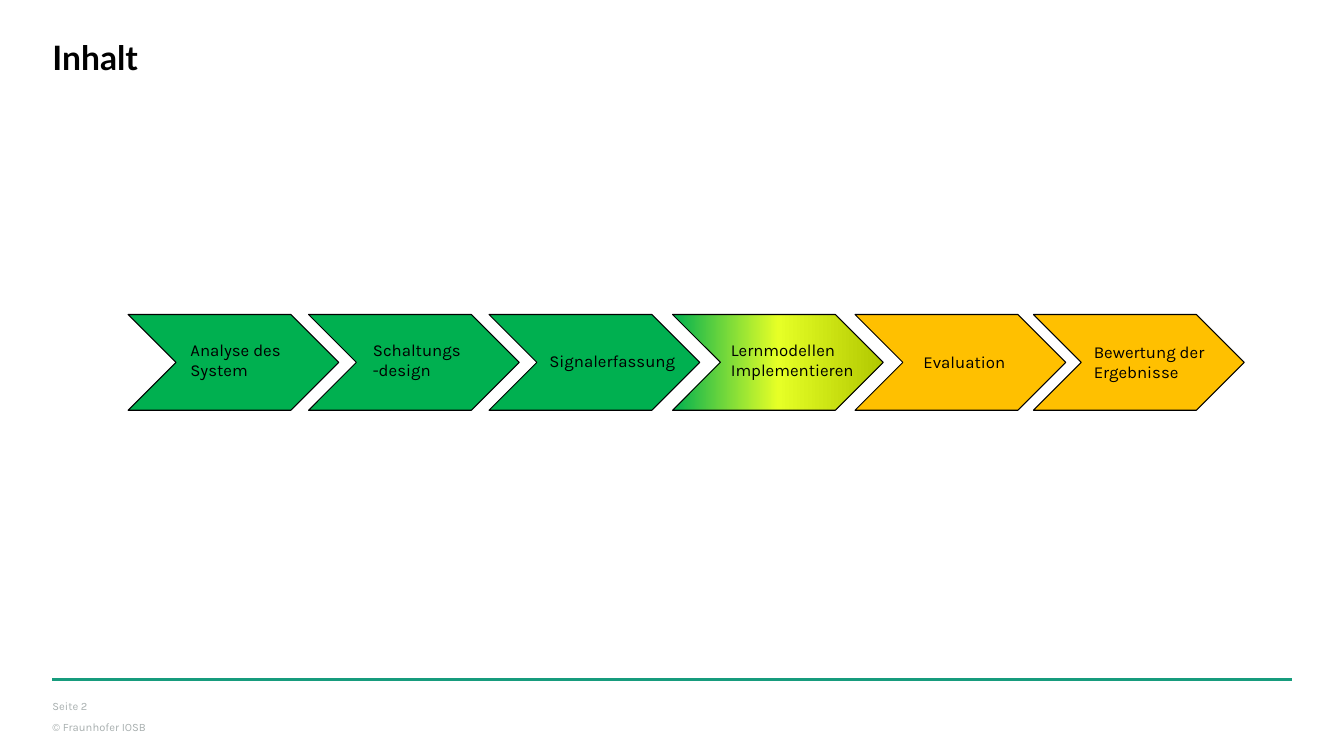
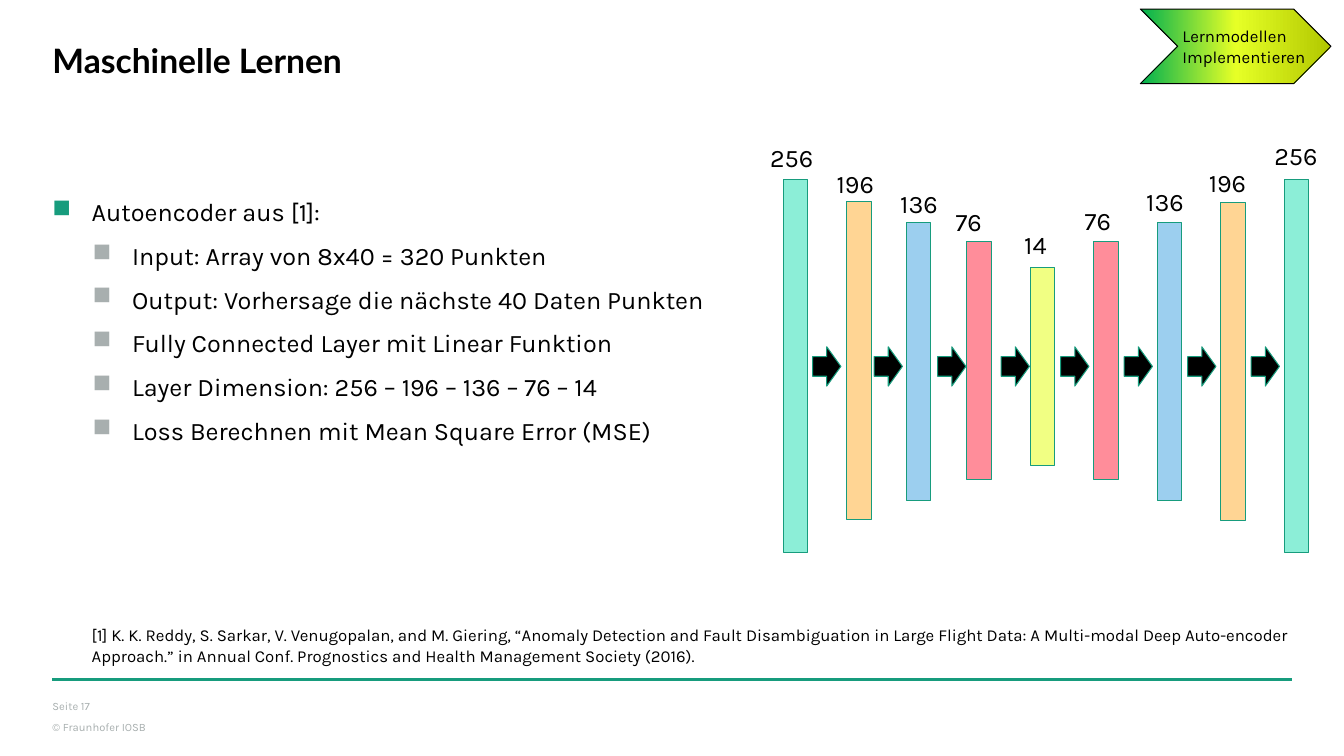
from copy import deepcopy

from lxml import etree
from pptx import Presentation
from pptx.dml.color import RGBColor
from pptx.enum.shapes import MSO_CONNECTOR, MSO_SHAPE
from pptx.oxml.ns import qn
from pptx.util import Inches, Pt

COLORS = {
    "text": "000000", "accent": "179C7D", "muted": "A8AFAF",
    "done": "00B050", "open": "FFC000",
    "bright": "E6FF26", "olive": "B1C800",
    "mint": "8CEED7", "peach": "FFD594", "sky": "9CCFEF",
    "rose": "FF8D9A", "lemon": "F1FF83",
}
IN_PROGRESS = [(0, "done"), (0.5, "bright"), (1, "olive")]


def add_text(slide, box, lines, size, color="text", font="Karla", bold=False, inset=(0, 0)):
    frame = slide.shapes.add_textbox(*map(Inches, box)).text_frame
    frame.word_wrap = True
    frame.margin_left = frame.margin_right = Inches(inset[0])
    frame.margin_top = frame.margin_bottom = Inches(inset[1])
    frame.text = "\n".join(lines)
    for paragraph in frame.paragraphs:
        paragraph.font.size = Pt(size)
        paragraph.font.name = font
        paragraph.font.bold = bold
        paragraph.font.color.rgb = RGBColor.from_string(COLORS[color])
    return frame.paragraphs


def add_block(slide, preset, box, fill, line="text"):
    """Draw a preset shape; fill is a colour name or a list of gradient stops."""
    block = slide.shapes.add_shape(preset, *map(Inches, box))
    block.shadow.inherit = False
    block.line.color.rgb = RGBColor.from_string(COLORS[line])
    block.line.width = Pt(0.75)
    if isinstance(fill, str):
        block.fill.solid()
        block.fill.fore_color.rgb = RGBColor.from_string(COLORS[fill])
        return
    block.fill.gradient()
    block.fill.gradient_angle = 0
    stop_list = block.fill._xPr.find(".//" + qn("a:gsLst"))
    while len(stop_list) < len(fill):
        stop_list.append(deepcopy(stop_list[-1]))
    for stop, (position, name) in zip(block.fill.gradient_stops, fill):
        stop.position = position
        stop.color.rgb = RGBColor.from_string(COLORS[name])


prs = Presentation()
prs.slide_width, prs.slide_height = Inches(13.33), Inches(7.5)

# Shared frame: title, rule and footer
slides = []
for title, title_top, page in [("Inhalt", 0.37, 2), ("Maschinelle Lernen", 0.4, 17)]:
    slide = prs.slides.add_slide(prs.slide_layouts[6])
    add_text(slide, (0.52, title_top, 12.28, 0.4), [title], 24, font="Lato", bold=True)
    rule = slide.shapes.add_connector(
        MSO_CONNECTOR.STRAIGHT, Inches(0.52), Inches(6.74), Inches(12.81), Inches(6.74))
    rule.line.color.rgb = RGBColor.from_string(COLORS["accent"])
    rule.line.width = Pt(2.5)
    etree.SubElement(rule._element.spPr, qn("a:effectLst"))
    footer = add_text(slide, (0.52, 6.94, 1.97, 0.34),
                      [f"Seite {page}", "© Fraunhofer IOSB"], 8, "muted")
    footer[1].space_before = Pt(5)
    slides.append(slide)
contents, learning = slides

# Contents: process chain (chevron left, fill, label, label box)
STEPS = [
    (1.27, "done", "Analyse des System", (1.79, 3.32, 1.33, 0.5)),
    (3.06, "done", "Schaltungs-design", (3.6, 3.32, 1.12, 0.5)),
    (4.85, "done", "Signalerfassung", (5.35, 3.43, 1.61, 0.3)),
    (6.67, IN_PROGRESS, "Lernmodellen Implementieren", (7.15, 3.32, 1.55, 0.5)),
    (8.48, "open", "Evaluation", (9.06, 3.44, 1.28, 0.3)),
    (10.25, "open", "Bewertung der Ergebnisse", (10.75, 3.34, 1.55, 0.5)),
]
for left, fill, label, label_box in STEPS:
    add_block(contents, MSO_SHAPE.CHEVRON, (left, 3.12, 2.09, 0.95), fill)
    add_text(contents, label_box, [label], 12, inset=(0.1, 0.05))

# Learning: current step marker
add_block(learning, MSO_SHAPE.CHEVRON, (11.31, 0.09, 1.89, 0.74), IN_PROGRESS)
add_text(learning, (11.63, 0.21, 1.5, 0.5), [STEPS[3][2]], 12, inset=(0.1, 0.05))

# Learning: bullet list, first line on level 0
points = add_text(learning, (0.52, 1.94, 6.9, 2.6), [
    "Autoencoder aus [1]:",
    "Input: Array von 8x40 = 320 Punkten",
    "Output: Vorhersage die nächste 40 Daten Punkten",
    "Fully Connected Layer mit Linear Funktion",
    "Layer Dimension: 256 – 196 – 136 – 76 – 14",
    "Loss Berechnen mit Mean Square Error (MSE)",
], 18)
for number, point in enumerate(points):
    level = min(number, 1)
    point.level = level
    point.space_after = Pt(9)
    point.line_spacing = 1.03
    props = point._p.get_or_add_pPr()
    props.set("marL", str(Inches(0.39 + 0.4 * level)))
    props.set("indent", str(-Inches(0.39)))
    bullet_color = etree.Element(qn("a:buClr"))
    etree.SubElement(bullet_color, qn("a:srgbClr"),
                     val=COLORS["muted" if level else "accent"])
    bullet = etree.Element(qn("a:buChar"), char="■")
    text_defaults = props.find(qn("a:defRPr"))
    text_defaults.addprevious(bullet_color)
    text_defaults.addprevious(bullet)

# Learning: reference
reference = add_text(learning, (0.91, 6.19, 11.89, 0.42), [
    "[1] K. K. Reddy, S. Sarkar, V. Venugopalan, and M. Giering, “Anomaly Detection and "
    "Fault Disambiguation in Large Flight Data: A Multi-modal Deep Auto-encoder "
    "Approach.” in Annual Conf. Prognostics and Health Management Society (2016)."], 12)
reference[0].line_spacing = 1.05

# Learning: autoencoder layers (size, left, top, label left, label top)
LAYER_STYLES = {256: (3.7, "mint"), 196: (3.15, "peach"), 136: (2.76, "sky"),
                76: (2.36, "rose"), 14: (1.97, "lemon")}
LAYERS = [
    (256, 7.77, 1.78, 7.54, 1.36), (196, 8.4, 2, 8.2, 1.62),
    (136, 8.99, 2.21, 8.83, 1.82), (76, 9.59, 2.4, 9.38, 2),
    (14, 10.22, 2.65, 10.06, 2.23), (76, 10.85, 2.4, 10.66, 1.99),
    (136, 11.48, 2.21, 11.27, 1.8), (196, 12.11, 2.01, 11.89, 1.61),
    (256, 12.74, 1.78, 12.54, 1.34),
]
for size, left, top, label_left, label_top in LAYERS:
    height, fill = LAYER_STYLES[size]
    add_block(learning, MSO_SHAPE.RECTANGLE, (left, top, 0.24, height), fill, "accent")
    add_text(learning, (label_left, label_top, 0.75, 0.4), [str(size)], 18, inset=(0.1, 0.05))

# Learning: arrows between the layers
for left in (8.06, 8.67, 9.3, 9.93, 10.52, 11.15, 11.78, 12.41):
    add_block(learning, MSO_SHAPE.RIGHT_ARROW, (left, 3.44, 0.28, 0.39), "text", "accent")

prs.save("out.pptx")
